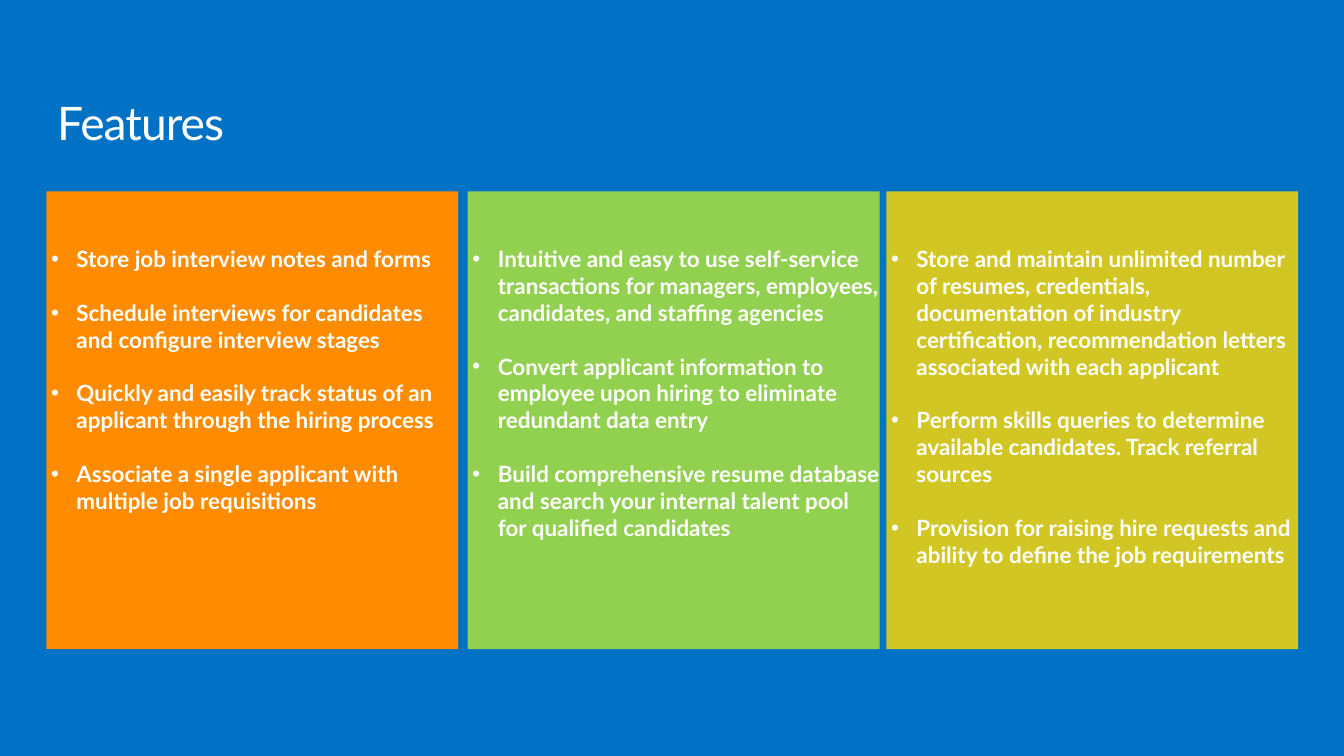
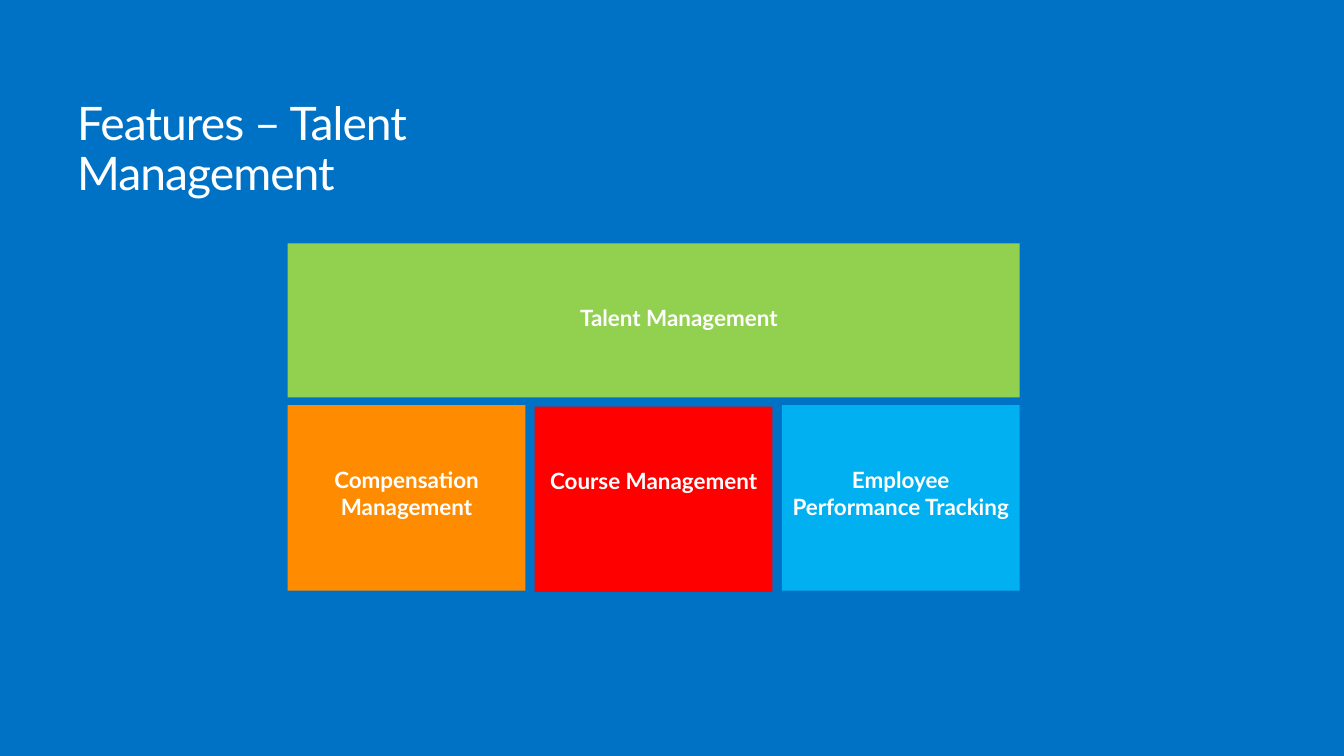
from dataclasses import dataclass

from lxml import etree
from pptx import Presentation
from pptx import util as u
from pptx.dml import color
from pptx.enum import shapes, text
from pptx.oxml import ns


@dataclass(frozen=True)
class Theme:
    font: str = "Lato"
    background: str = "0072C6"
    ink: str = "FFFFFF"
    orange: str = "FF8C00"
    green: str = "92D050"
    olive: str = "D2C624"
    red: str = "FF0000"
    sky: str = "00B0F0"
    title_size: float = 49.5
    body_size: float = 24
    paragraph_gap: float = 28.8


theme = Theme()


def write(paragraph, words, size, bold=False):
    run = paragraph.add_run()
    run.text = words
    run.font.name = theme.font
    run.font.size = u.Pt(size)
    run.font.bold = bold
    run.font.color.rgb = color.RGBColor.from_string(theme.ink)
    return run


def add_tile(slide, left, top, width, height, fill, insets):
    tile = slide.shapes.add_shape(
        shapes.MSO_SHAPE.RECTANGLE, u.Cm(left), u.Cm(top), u.Cm(width), u.Cm(height)
    )
    tile.shadow.inherit = False
    tile.fill.solid()
    tile.fill.fore_color.rgb = color.RGBColor.from_string(fill)
    tile.line.fill.background()
    frame = tile.text_frame
    frame.word_wrap = True
    frame.vertical_anchor = text.MSO_ANCHOR.TOP
    frame.margin_left, frame.margin_top, frame.margin_right, frame.margin_bottom = map(u.Cm, insets)
    return frame


deck = Presentation()
deck.slide_width = u.Cm(50.8)
deck.slide_height = u.Cm(28.58)

headings = [
    ("Features", 2.16, 46.46),
    ("Features – Talent Management", 2.92, 21.79),
]
slides = []
for words, left, width in headings:
    slide = deck.slides.add_slide(deck.slide_layouts[6])
    slide.background.fill.solid()
    slide.background.fill.fore_color.rgb = color.RGBColor.from_string(theme.background)
    title = slide.shapes.add_textbox(u.Cm(left), u.Cm(3.81), u.Cm(width), u.Cm(2)).text_frame
    title.word_wrap = True
    title.margin_left = title.margin_top = title.margin_right = title.margin_bottom = 0
    title.paragraphs[0].line_spacing = 0.9
    heading = write(title.paragraphs[0], words, theme.title_size)
    heading.font._element.set("spc", "-100")
    slides.append(slide)
features, talent = slides

feature_columns = [
    (1.75, theme.orange, [
        "Store job interview notes and forms",
        "Schedule interviews for candidates and configure interview stages",
        "Quickly and easily track status of an applicant through the hiring process",
        "Associate a single applicant with multiple job requisitions",
    ]),
    (17.68, theme.green, [
        "Intuitive and easy to use self-service transactions for managers, employees, "
        "candidates, and staffing agencies",
        "Convert applicant information to employee upon hiring to eliminate redundant data entry",
        "Build comprehensive resume database and search your internal talent pool "
        "for qualified candidates",
    ]),
    (33.5, theme.olive, [
        "Store and maintain unlimited number of resumes, credentials, documentation of industry "
        "certification, recommendation letters associated with each applicant",
        "Perform skills queries to determine available candidates. Track referral sources",
        "Provision for raising hire requests and ability to define the job requirements",
    ]),
]
for left, fill, points in feature_columns:
    column = add_tile(features, left, 7.24, 15.57, 17.3, fill, (0.18, 2.03, 0, 0.18))
    for index, point in enumerate(points):
        paragraph = column.paragraphs[0] if index == 0 else column.add_paragraph()
        paragraph.alignment = text.PP_ALIGN.LEFT
        if index:
            paragraph.space_before = u.Pt(theme.paragraph_gap)
        properties = paragraph._p.get_or_add_pPr()
        properties.set("marL", str(u.Cm(0.96)))
        properties.set("indent", str(u.Cm(-0.96)))
        etree.SubElement(properties, ns.qn("a:buFont"), typeface="Arial")
        etree.SubElement(properties, ns.qn("a:buChar"), char="•")
        write(paragraph, point, theme.body_size, bold=True)

module_left, module_step, module_width = 10.87, 9.34, 8.99
modules = [
    ("Compensation Management", theme.orange, 15.32),
    ("Course Management", theme.red, 15.37),
    ("Employee Performance Tracking", theme.sky, 15.32),
]
talent_tiles = [
    ("Talent Management", theme.green, module_left, 9.2, 2 * module_step + module_width, 5.82, 2.29)
]
for index, (name, fill, top) in enumerate(modules):
    left = module_left + index * module_step
    talent_tiles.append((name, fill, left, top, module_width, 7.01, 0.38))
for name, fill, left, top, width, height, left_inset in talent_tiles:
    tile = add_tile(talent, left, top, width, height, fill, (left_inset, 2.29, 0.38, 0.25))
    tile.paragraphs[0].alignment = text.PP_ALIGN.CENTER
    write(tile.paragraphs[0], name, theme.body_size, bold=True)

deck.save("out.pptx")
